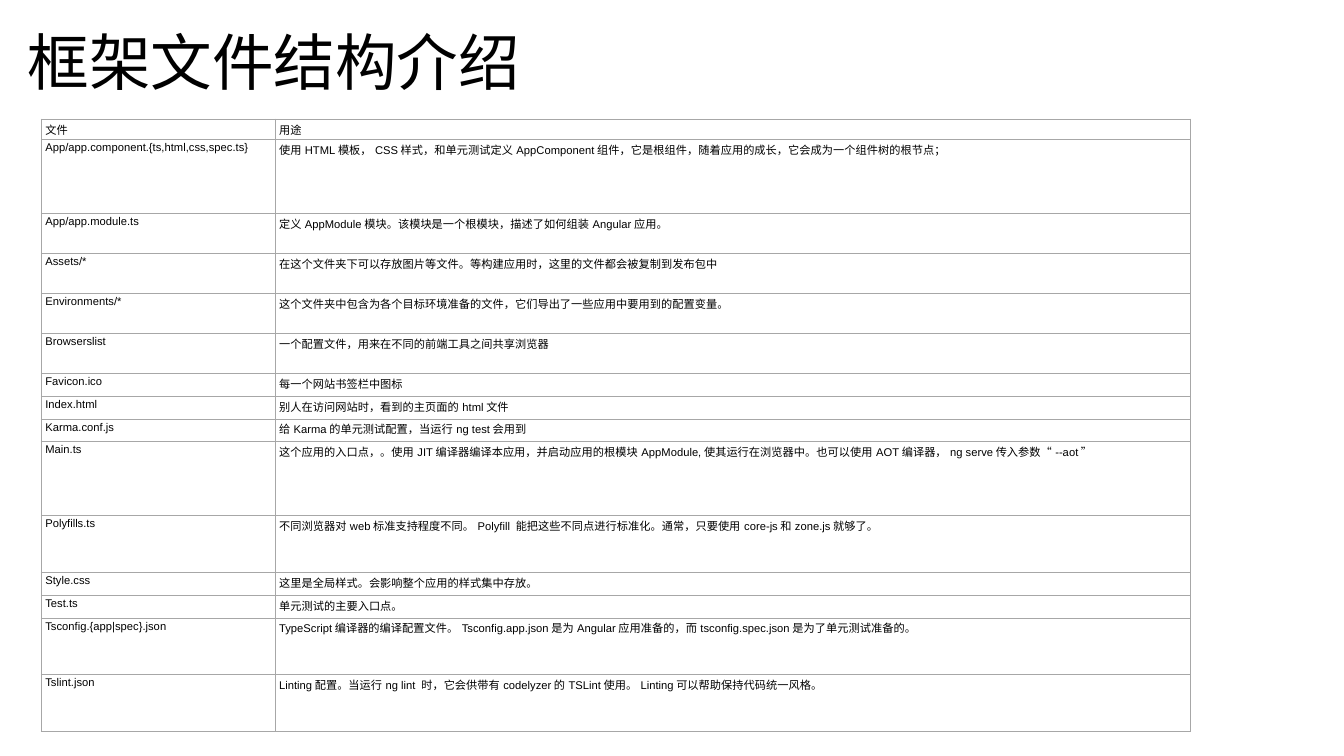
from pptx import Presentation
from pptx.util import Pt
from pptx.dml.color import RGBColor as Rgb
from pptx.enum.text import MSO_ANCHOR as Anchor
from pptx.oxml import parse_xml
from pptx.oxml.ns import nsdecls

COLORS = {"text": "000000", "grid": "A7A7A7"}
HEAD, LINE, TWO, THREE, FOUR = 14.6, 16.2, 28.6, 40.7, 52.9  # row heights
COLS = [167, 653.8]
ROWS = [
    (HEAD, "文件", "用途"),
    (FOUR, "App/app.component.{ts,html,css,spec.ts}",
     "使用HTML模板，CSS样式，和单元测试定义AppComponent组件，它是根组件，"
     "随着应用的成长，它会成为一个组件树的根节点；"),
    (TWO, "App/app.module.ts",
     "定义AppModule模块。该模块是一个根模块，描述了如何组装Angular应用。"),
    (TWO, "Assets/*",
     "在这个文件夹下可以存放图片等文件。等构建应用时，这里的文件都会被复制到发布包中"),
    (TWO, "Environments/*",
     "这个文件夹中包含为各个目标环境准备的文件，它们导出了一些应用中要用到的配置变量。"),
    (TWO, "Browserslist", "一个配置文件，用来在不同的前端工具之间共享浏览器"),
    (LINE, "Favicon.ico", "每一个网站书签栏中图标"),
    (LINE, "Index.html", "别人在访问网站时，看到的主页面的html文件"),
    (LINE, "Karma.conf.js", "给Karma的单元测试配置，当运行ng test会用到"),
    (FOUR, "Main.ts",
     "这个应用的入口点，。使用JIT编译器编译本应用，并启动应用的根模块AppModule,"
     "使其运行在浏览器中。也可以使用AOT编译器，ng serve传入参数“--aot”"),
    (THREE, "Polyfills.ts",
     "不同浏览器对web标准支持程度不同。Polyfill 能把这些不同点进行标准化。"
     "通常，只要使用core-js和zone.js就够了。"),
    (LINE, "Style.css", "这里是全局样式。会影响整个应用的样式集中存放。"),
    (LINE, "Test.ts", "单元测试的主要入口点。"),
    (THREE, "Tsconfig.{app|spec}.json",
     "TypeScript编译器的编译配置文件。Tsconfig.app.json是为Angular应用准备的，"
     "而tsconfig.spec.json是为了单元测试准备的。"),
    (THREE, "Tslint.json",
     "Linting配置。当运行ng lint 时，它会供带有codelyzer的TSLint使用。"
     "Linting可以帮助保持代码统一风格。"),
]


def write(frame, text, size, face):
    """Put one plain paragraph in a text frame and return it."""
    frame.text = text
    para = frame.paragraphs[0]
    font = para.runs[0].font
    font.size, font.name, font.bold = Pt(size), face, False
    font.color.rgb = Rgb.from_string(COLORS["text"])
    return para


def frame_cell(cell):
    """Draw a thin grey line on all four sides of a cell."""
    props = cell._tc.get_or_add_tcPr()
    for spot, side in enumerate(("lnL", "lnR", "lnT", "lnB")):
        props.insert(spot, parse_xml(
            f'<a:{side} {nsdecls("a")} w="{Pt(0.5)}"><a:solidFill>'
            f'<a:srgbClr val="{COLORS["grid"]}"/></a:solidFill></a:{side}>'))


deck = Presentation()
deck.slide_width, deck.slide_height = Pt(960), Pt(540)
slide = deck.slides.add_slide(deck.slide_layouts[6])

title = slide.shapes.add_textbox(Pt(12.5), Pt(9.4), Pt(826), Pt(75)).text_frame
title.word_wrap = True
title.vertical_anchor = Anchor.MIDDLE
write(title, "框架文件结构介绍", 44, "Calibri").line_spacing = 0.9

high = sum(row[0] for row in ROWS)
table = slide.shapes.add_table(len(ROWS), len(COLS), Pt(29.5), Pt(85),
                               Pt(sum(COLS)), Pt(high)).table
table.first_row = table.horz_banding = False
for col, wide in zip(table.columns, COLS):
    col.width = Pt(wide)
for row, (tall, *texts) in zip(table.rows, ROWS):
    row.height = Pt(tall)
    for cell, text in zip(row.cells, texts):
        cell.margin_left = cell.margin_right = Pt(2.9)
        cell.margin_top = cell.margin_bottom = Pt(1.4)
        cell.fill.background()
        frame_cell(cell)
        write(cell.text_frame, text, 8, "Arial")

deck.save("out.pptx")
